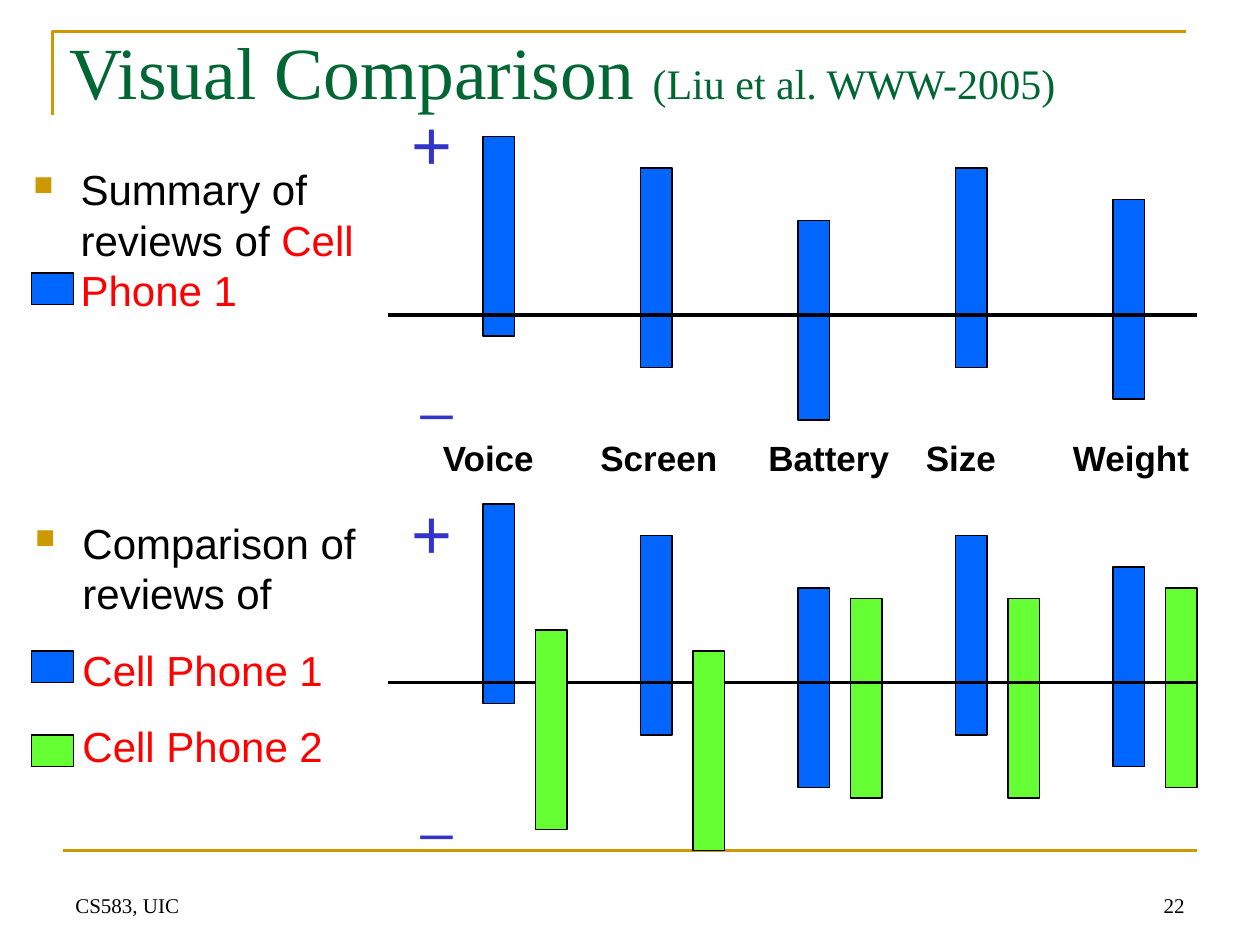
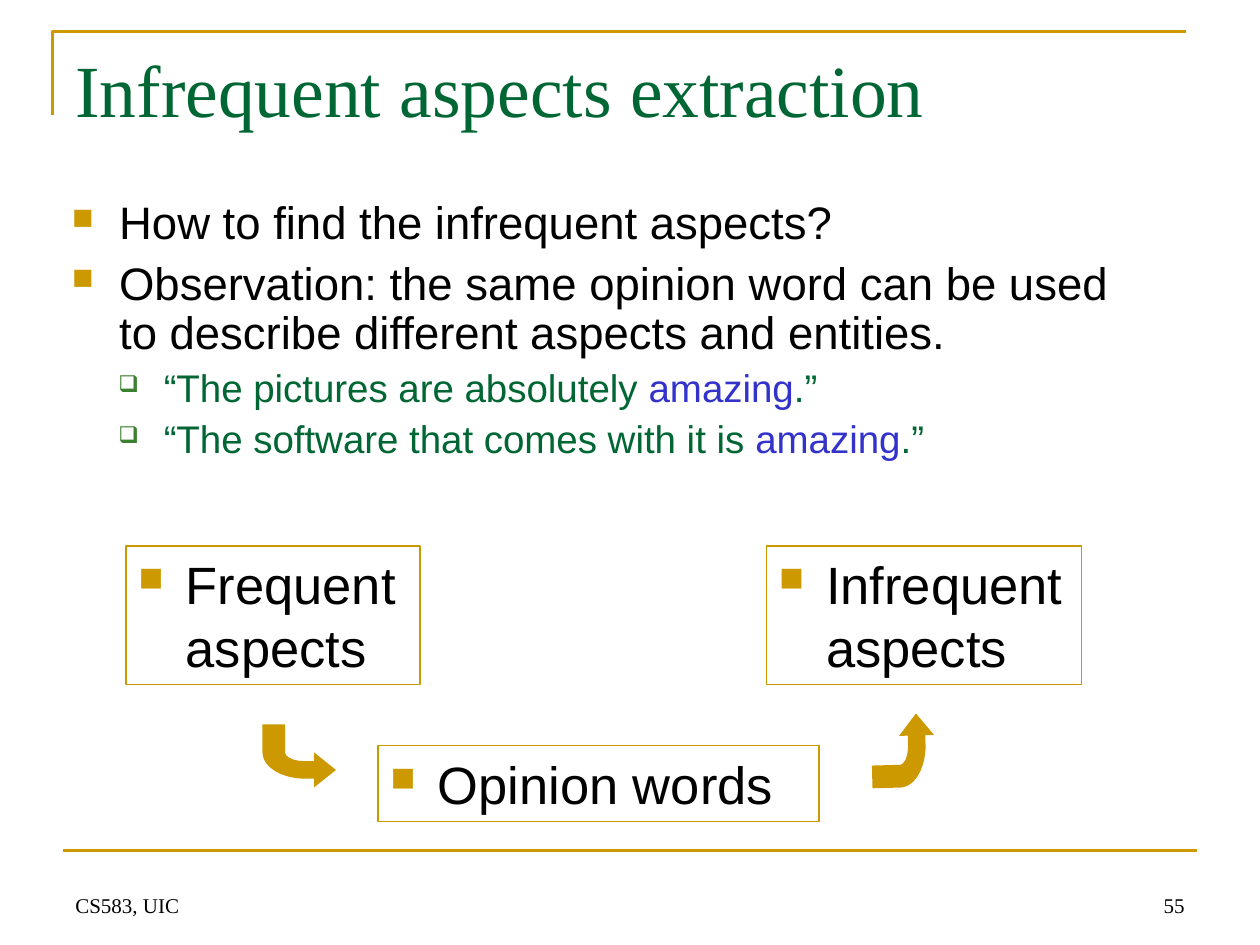
import math

from lxml import etree
from pptx import Presentation
from pptx.dml.color import RGBColor
from pptx.enum import shapes, text
from pptx.oxml import ns
from pptx.util import Pt

GOLD = RGBColor(0xCC, 0x99, 0x00)
GREEN = RGBColor(0x00, 0x66, 0x33)
LEAF = RGBColor(0x3B, 0x81, 0x2F)
INDIGO = RGBColor(0x33, 0x33, 0xCC)
BLACK = RGBColor(0, 0, 0)
RED = RGBColor(0xFF, 0, 0)
PHONE_1 = RGBColor(0x00, 0x66, 0xFF)
PHONE_2 = RGBColor(0x66, 0xFF, 0x33)

SANS, SERIF = "Arial", "Times New Roman"
TITLE = dict(name=SERIF, size=Pt(42), color=GREEN)
CITATION = dict(TITLE, size=Pt(24))
FOOTER = dict(name=SERIF, size=Pt(12), color=BLACK)
LEGEND = dict(name=SANS, size=Pt(24), color=BLACK)
PHONE = dict(LEGEND, color=RED)
ASPECT = dict(name=SANS, size=Pt(20), color=BLACK, bold=True)
PLUS = dict(name=SANS, size=Pt(40), color=INDIGO)
MINUS = dict(PLUS, size=Pt(32))
POINT = dict(name=SANS, size=Pt(26), color=BLACK)
QUOTE = dict(name=SANS, size=Pt(22), color=GREEN)
OPINION = dict(QUOTE, color=INDIGO)
STEP = dict(name=SANS, size=Pt(30), color=BLACK)

# Left margin, first-line indent, bullet character, its colour and size in percent
SQUARE = (27, -27, "■", GOLD, 65)
HOLLOW = (52.5, -26, "❑", LEAF, 60)
INDENTED = (27, 0, None, None, None)

ASPECTS = {"Voice": 246, "Screen": 336, "Battery": 432, "Size": 522, "Weight": 606}
PHONE_1_TOPS = [102, 84, 54, 84, 66]
PHONE_2_TOPS = [30, 18, 48, 48, 54]
BAR_WIDTH, BAR_HEIGHT, BAR_PITCH = 18, 114, 90


def points(values):
    return [Pt(value) for value in values]


def set_bullet(paragraph, style):
    margin, indent, char, color, percent = style
    props = paragraph._p.get_or_add_pPr()
    props.set("marL", str(Pt(margin)))
    props.set("indent", str(Pt(indent)))
    if char:
        tint = etree.SubElement(props, ns.qn("a:buClr"))
        etree.SubElement(tint, ns.qn("a:srgbClr"), val=str(color))
        etree.SubElement(props, ns.qn("a:buSzPct"), val=str(percent * 1000))
        etree.SubElement(props, ns.qn("a:buChar"), char=char)


def write(frame, paragraphs, bullets=(), anchor=text.MSO_ANCHOR.TOP, **layout):
    """Fill a frame; each paragraph is a list of (words, font format) runs."""
    frame.word_wrap = True
    frame.vertical_anchor = anchor
    for index, runs in enumerate(paragraphs):
        paragraph = frame.paragraphs[0] if index == 0 else frame.add_paragraph()
        if bullets:
            set_bullet(paragraph, bullets[index])
        for name, value in dict(dict(alignment=text.PP_ALIGN.LEFT), **layout).items():
            if index or name != "space_before":
                setattr(paragraph, name, value)
        for words, style in runs:
            run = paragraph.add_run()
            run.text = words
            for name, value in style.items():
                if name == "color":
                    run.font.color.rgb = value
                else:
                    setattr(run.font, name, value)


def add_text(slide, box, paragraphs, **layout):
    frame = slide.shapes.add_textbox(*points(box)).text_frame
    write(frame, paragraphs, **layout)
    return frame


def add_rect(slide, box, fill, line):
    rect = slide.shapes.add_shape(shapes.MSO_SHAPE.RECTANGLE, *points(box))
    rect.shadow.inherit = False
    if fill is None:
        rect.fill.background()
    else:
        rect.fill.solid()
        rect.fill.fore_color.rgb = fill
    rect.line.color.rgb = line
    rect.line.width = Pt(0.75)
    return rect


def add_rule(slide, left, right, y, color, width):
    rule = slide.shapes.add_connector(
        shapes.MSO_CONNECTOR.STRAIGHT, *points((left, y, right, y)))
    rule.line.color.rgb = color
    rule.line.width = Pt(width)
    etree.SubElement(rule._element.spPr, ns.qn("a:effectLst"))


def add_outline(slide, corners, close):
    first, *rest = [tuple(points(corner)) for corner in corners]
    builder = slide.shapes.build_freeform(*first, scale=1.0)
    builder.add_line_segments(rest, close=close)
    outline = builder.convert_to_shape()
    outline.shadow.inherit = False
    return outline


def start_slide(deck, number, title_box, title_runs):
    """Add a slide with the shared frame, footer and title."""
    slide = deck.slides.add_slide(deck.slide_layouts[6])
    corner = add_outline(slide, [(30, 66), (30, 18), (678, 18)], close=False)
    corner.fill.background()
    corner.line.color.rgb = GOLD
    corner.line.width = Pt(1.5)
    add_rule(slide, 36, 684, 486, GOLD, 1.5)
    bottom = text.MSO_ANCHOR.BOTTOM
    add_text(slide, (36, 492, 438, 36), [[("CS583, UIC", FOOTER)]], anchor=bottom)
    add_text(slide, (516, 492, 168, 36), [[(number, FOOTER)]], anchor=bottom,
             alignment=text.PP_ALIGN.RIGHT)
    add_text(slide, title_box, [title_runs])
    return slide


def add_bars(slide, left, axis, tops, columns, color):
    for column in columns:
        box = (left + column * BAR_PITCH, axis - tops[column], BAR_WIDTH, BAR_HEIGHT)
        add_rect(slide, box, color, BLACK)


def add_review_bars(slide, left, axis, plus_rise, minus_drop, compare=False):
    """Draw bars around a horizontal axis that starts at left."""
    first, second = left + 54, left + 84
    if compare:
        add_bars(slide, second, axis, PHONE_2_TOPS, range(2, 5), PHONE_2)
    add_bars(slide, first, axis, PHONE_1_TOPS, range(5), PHONE_1)
    add_rule(slide, left, left + 462, axis, BLACK, 2.25)
    if compare:
        add_bars(slide, second, axis, PHONE_2_TOPS, range(2), PHONE_2)
    add_text(slide, (left + 6, axis - plus_rise, 54, 55), [[("+", PLUS)]])
    add_text(slide, (left + 12, axis + minus_drop, 54, 46), [[("_", MINUS)]])


def add_legend(slide, box, paragraphs, bullets, swatches):
    add_text(slide, box, paragraphs, bullets=bullets, space_before=Pt(15))
    for y, color in swatches:
        add_rect(slide, (18, box[1] + y, 24, 18), color, BLACK)


def add_step(slide, box, words):
    rect = add_rect(slide, box, None, GOLD)
    write(rect.text_frame, [[(words, STEP)]], bullets=[SQUARE])


def elbow(across, down):
    """Quarter ellipse around (24.5, 16), from its left end to its bottom."""
    angles = [math.pi / 2 * step / 12 for step in range(13)]
    return [(24.5 - across * math.cos(a), 16 + down * math.sin(a)) for a in angles]


def add_bent_arrow(slide, left, y, upward=False):
    """Arrow down then right from a top corner, or right then up from a bottom one."""
    head = [(29.5, 31), (29.5, 36), (42, 26), (29.5, 16), (29.5, 21)]
    outline = [(0, 0), *elbow(24.5, 15), *head, *reversed(elbow(11.5, 5)), (13, 0)]
    if upward:
        corners = [(left + down, y - across) for across, down in outline]
    else:
        corners = [(left + across, y + down) for across, down in outline]
    arrow = add_outline(slide, corners, close=True)
    arrow.fill.solid()
    arrow.fill.fore_color.rgb = GOLD
    arrow.line.fill.background()
    return arrow


def build_comparison(deck):
    slide = start_slide(deck, "22", (32.4, 11.5, 648, 90), [
        ("Visual Comparison ", TITLE), ("(Liu et al. WWW-2005)", CITATION)])
    add_review_bars(slide, 222, 180, 126, 18)
    add_legend(slide, (12, 90, 216, 94),
               [[("Summary of reviews of ", LEGEND), ("Cell Phone 1", PHONE)]],
               [SQUARE], [(66, PHONE_1)])
    for aspect, left in ASPECTS.items():
        add_text(slide, (left, 246, 100, 36), [[(aspect, ASPECT)]])
    add_review_bars(slide, 222, 390, 114, 48, compare=True)
    add_legend(slide, (13, 292, 228, 153),
               [[("Comparison of reviews of", LEGEND)],
                [("Cell Phone 1", PHONE)], [("Cell Phone 2", PHONE)]],
               [SQUARE, INDENTED, INDENTED], [(80, PHONE_1), (128, PHONE_2)])


def build_extraction(deck):
    slide = start_slide(deck, "55", (36, 21.6, 648, 90),
                        [("Infrequent aspects extraction", TITLE)])
    quotes = ["“The pictures are absolutely ", "“The software that comes with it is "]
    frame = add_text(
        slide, (34, 111, 636, 356),
        [[("How to find the infrequent aspects?", POINT)],
         [("Observation: the same opinion word can be used to describe "
           "different aspects and entities.", POINT)],
         *[[(quote, QUOTE), ("amazing", OPINION), (".”", QUOTE)] for quote in quotes]],
        bullets=[SQUARE, SQUARE, HOLLOW, HOLLOW],
        line_spacing=0.9, space_before=Pt(6.5))
    for quote in frame.paragraphs[2:]:
        quote.level = 1
        quote.space_before = Pt(5.5)
    add_step(slide, (72, 312, 168, 79), "Frequent aspects")
    add_step(slide, (216, 426, 252, 43.5), "Opinion words")
    add_step(slide, (438, 312, 180, 79), "Infrequent aspects")
    add_bent_arrow(slide, 150, 414)
    add_bent_arrow(slide, 498, 450, upward=True).rotation = -1.6


def main():
    deck = Presentation()
    deck.slide_width, deck.slide_height = Pt(720), Pt(540)
    build_comparison(deck)
    build_extraction(deck)
    deck.save("out.pptx")


if __name__ == "__main__":
    main()
